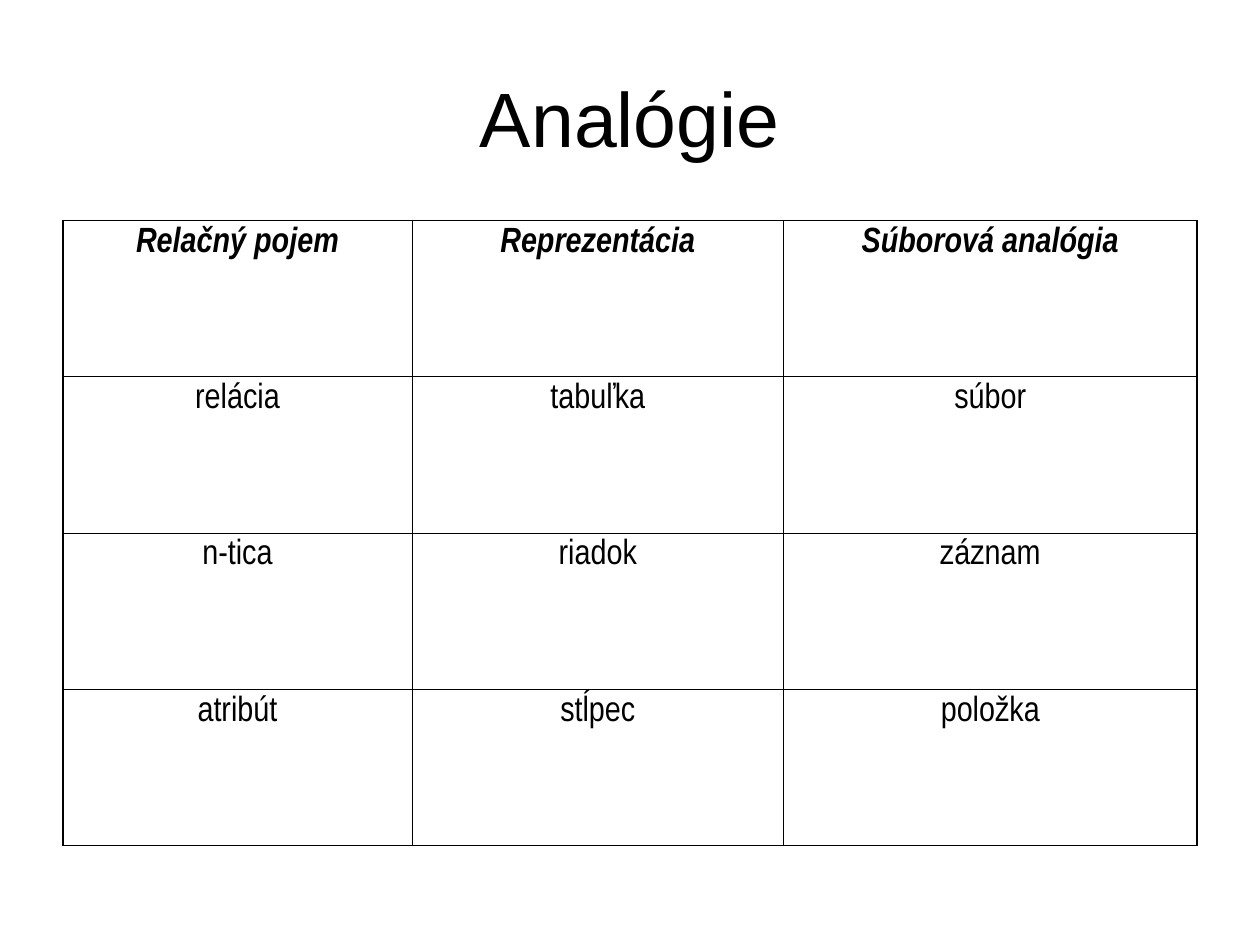
from dataclasses import dataclass

from lxml import etree
from pptx import Presentation
from pptx.dml.color import RGBColor
from pptx.enum.text import MSO_ANCHOR, PP_ALIGN
from pptx.oxml.ns import qn
from pptx.util import Inches, Pt

CENTER = PP_ALIGN.CENTER
TOP = MSO_ANCHOR.TOP
MIDDLE = MSO_ANCHOR.MIDDLE


@dataclass(frozen=True)
class Theme:
    ink: str = "000000"
    paper: str = "FFFFFF"
    head_font: str = "Arial"
    cell_font: str = "Arial Narrow"
    head_size: int = 44
    cell_size: int = 20
    thick: float = 0.96
    thin: float = 0.45


THEME = Theme()
WIDTHS = (2.77, 2.95, 3.28)
HEIGHT = 1.24
ROWS = (
    ("Relačný pojem", "Reprezentácia", "Súborová analógia"),
    ("relácia", "tabuľka", "súbor"),
    ("n-tica", "riadok", "záznam"),
    ("atribút", "stĺpec", "položka"),
)


def style(frame, face, size, strong=False):
    para = frame.paragraphs[0]
    para.alignment = CENTER
    for run in para.runs:
        font = run.font
        font.name = face
        font.size = Pt(size)
        font.bold = font.italic = strong
        font.color.rgb = RGBColor.from_string(THEME.ink)


def add_title(slide, text):
    box = slide.shapes.add_textbox(Inches(0.5), Inches(0.3), Inches(9), Inches(1.25))
    frame = box.text_frame
    frame.word_wrap = True
    frame.vertical_anchor = MIDDLE
    frame.text = text
    style(frame, THEME.head_font, THEME.head_size)


def add_border(cell, side, width):
    props = cell._tc.get_or_add_tcPr()
    line = etree.SubElement(props, qn(f"a:ln{side}"), w=str(Pt(width)))
    fill = etree.SubElement(line, qn("a:solidFill"))
    etree.SubElement(fill, qn("a:srgbClr"), val=THEME.ink)


def add_borders(cell, row, col):
    bold = {
        "L": col == 0,
        "R": col == len(WIDTHS) - 1,
        "T": row <= 1,
        "B": row in (0, len(ROWS) - 1),
    }
    for side, heavy in bold.items():
        add_border(cell, side, THEME.thick if heavy else THEME.thin)


def fill_cell(cell, text, row, col):
    cell.text_frame.text = text
    cell.vertical_anchor = TOP
    style(cell.text_frame, THEME.cell_font, THEME.cell_size, row == 0)
    add_borders(cell, row, col)
    cell.fill.background()


def add_grid(slide):
    frame = slide.shapes.add_table(
        len(ROWS), len(WIDTHS), Inches(0.5), Inches(1.75),
        Inches(sum(WIDTHS)), Inches(HEIGHT * len(ROWS)),
    )
    table = frame.table
    table.first_row = table.horz_banding = False
    for column, width in zip(table.columns, WIDTHS):
        column.width = Inches(width)
    for row, texts in enumerate(ROWS):
        table.rows[row].height = Inches(HEIGHT)
        for col, text in enumerate(texts):
            fill_cell(table.cell(row, col), text, row, col)


def main():
    deck = Presentation()
    deck.slide_width = Inches(10)
    deck.slide_height = Inches(7.5)
    slide = deck.slides.add_slide(deck.slide_layouts[6])
    back = slide.background.fill
    back.solid()
    back.fore_color.rgb = RGBColor.from_string(THEME.paper)
    add_title(slide, "Analógie")
    add_grid(slide)
    deck.save("out.pptx")


if __name__ == "__main__":
    main()
